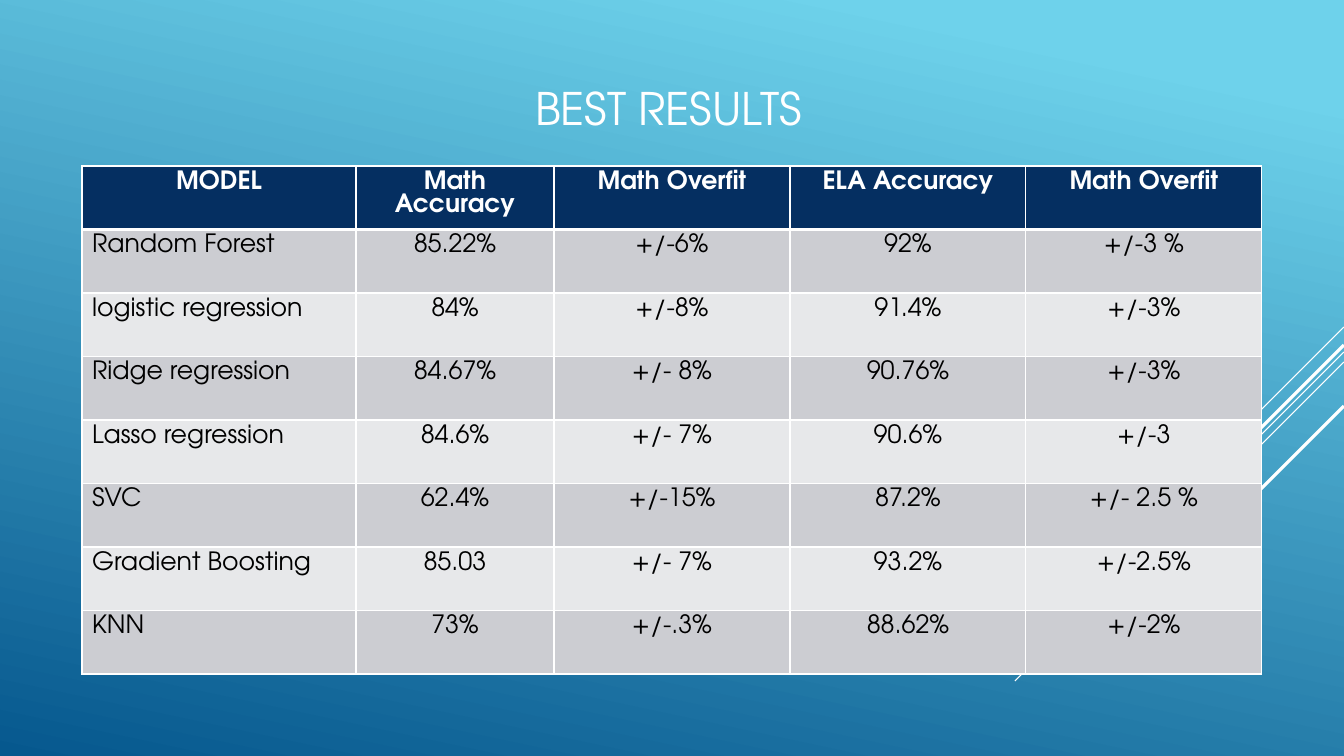
from dataclasses import dataclass

from lxml import etree
from pptx import Presentation
from pptx import util as u
from pptx.dml.color import RGBColor
from pptx.enum import shapes, text
from pptx.oxml import ns

SLIDE_WIDTH, SLIDE_HEIGHT = 1344, 756
EMU_PER_PX = 12192000 / SLIDE_WIDTH
FONT = "TeX Gyre Adventor"
COLORS = {
    "sky": "6ED2EB",
    "deep": "06588E",
    "white": "FFFFFF",
    "black": "000000",
    "header": "052F61",
    "odd": "CCCDD2",
    "even": "E7E8EA",
}

TABLE_LEFT, TABLE_TOP, TABLE_HEIGHT = 82, 166, 508
COLUMN_WIDTHS = [274, 198, 236, 236, 236]
RESULTS = [
    ["MODEL", "Math Accuracy", "Math Overfit", "ELA Accuracy", "Math Overfit"],
    ["Random Forest", "85.22%", "+/-6%", "92%", "+/-3 %"],
    ["logistic regression", "84%", "+/-8%", "91.4%", "+/-3%"],
    ["Ridge regression", "84.67%", "+/- 8%", "90.76%", "+/-3%"],
    ["Lasso regression", "84.6%", "+/- 7%", "90.6%", "+/-3"],
    ["SVC", "62.4%", "+/-15%", "87.2%", "+/- 2.5 %"],
    ["Gradient Boosting", "85.03", "+/- 7%", "93.2%", "+/-2.5%"],
    ["KNN", "73%", "+/-.3%", "88.62%", "+/-2%"],
]


@dataclass
class Ray:
    """A diagonal running down and left from the right edge of the slide."""
    top: int
    reach: int
    weight: float


RAYS = [
    Ray(327, 101, 0.75),
    Ray(352, 329, 0.75),
    Ray(362, 209, 0.75),
    Ray(345, 193, 2.25),
    Ray(406, 140, 2.25),
]


@dataclass
class CellStyle:
    fill: str
    color: str
    bold: bool
    align: text.PP_ALIGN
    top_border: float
    bottom_border: float


def px(length: int) -> u.Emu:
    return u.Emu(round(length * EMU_PER_PX))


def rgb(name: str) -> RGBColor:
    return RGBColor.from_string(COLORS[name])


def add_span(para, words: str, size: int, color: str, bold: bool = False) -> None:
    span = para.add_run()
    span.text = words
    span.font.name = FONT
    span.font.size = u.Pt(size)
    span.font.bold = bold
    span.font.color.rgb = rgb(color)


def paint_background(page) -> None:
    fill = page.background.fill
    fill.gradient()
    fill.gradient_angle = 258
    for stop, color, position in zip(fill.gradient_stops, ("sky", "deep"), (0.1, 1)):
        stop.color.rgb = rgb(color)
        stop.position = position


def draw_ray(page, ray: Ray) -> None:
    line = page.shapes.add_connector(
        shapes.MSO_CONNECTOR.STRAIGHT,
        px(SLIDE_WIDTH), px(ray.top),
        px(SLIDE_WIDTH - ray.reach), px(ray.top + ray.reach),
    )
    line.line.color.rgb = rgb("white")
    line.line.width = u.Pt(ray.weight)
    etree.SubElement(line._element.spPr, ns.qn("a:effectLst"))


def write_title(page) -> None:
    title = page.shapes.title
    title.left, title.top, title.width, title.height = px(525), px(70), px(292), px(76)
    frame = title.text_frame
    frame.word_wrap = True
    frame.auto_size = text.MSO_AUTO_SIZE.NONE
    frame.vertical_anchor = text.MSO_ANCHOR.MIDDLE
    para = frame.paragraphs[0]
    para.alignment = text.PP_ALIGN.LEFT
    add_span(para, "BEST RESULTS", 32, "white")


def set_borders(cell, style: CellStyle) -> None:
    """Put white border lines ahead of the fill, as the schema orders them."""
    properties = cell._tc.get_or_add_tcPr()
    weights = {"lnL": 1, "lnR": 1, "lnT": style.top_border, "lnB": style.bottom_border}
    for index, (side, weight) in enumerate(weights.items()):
        border = etree.Element(ns.qn(f"a:{side}"), w=str(u.Pt(weight)))
        paint = etree.SubElement(border, ns.qn("a:solidFill"))
        etree.SubElement(paint, ns.qn("a:srgbClr"), val=COLORS["white"])
        properties.insert(index, border)


def style_for(row: int, column: int) -> CellStyle:
    header = row == 0
    if header:
        fill = "header"
    else:
        fill = "odd" if row % 2 else "even"
    centred = header or column > 0
    return CellStyle(
        fill=fill,
        color="white" if header else "black",
        bold=header,
        align=text.PP_ALIGN.CENTER if centred else text.PP_ALIGN.LEFT,
        top_border=3 if row == 1 else 1,
        bottom_border=3 if header else 1,
    )


def fill_cell(cell, words: str, style: CellStyle) -> None:
    cell.fill.solid()
    cell.fill.fore_color.rgb = rgb(style.fill)
    set_borders(cell, style)
    para = cell.text_frame.paragraphs[0]
    para.alignment = style.align
    para.line_spacing = u.Pt(16.5)
    add_span(para, words, 18, style.color, style.bold)


def add_results_table(page) -> None:
    table = page.shapes.add_table(
        len(RESULTS), len(COLUMN_WIDTHS),
        px(TABLE_LEFT), px(TABLE_TOP), px(sum(COLUMN_WIDTHS)), px(TABLE_HEIGHT),
    ).table
    for column, width in zip(table.columns, COLUMN_WIDTHS):
        column.width = px(width)
    for row, entries in enumerate(RESULTS):
        for column, words in enumerate(entries):
            fill_cell(table.cell(row, column), words, style_for(row, column))


def main() -> None:
    deck = Presentation()
    deck.slide_width, deck.slide_height = px(SLIDE_WIDTH), px(SLIDE_HEIGHT)
    page = deck.slides.add_slide(deck.slide_layouts.get_by_name("Title Only"))
    paint_background(page)
    for ray in RAYS:
        draw_ray(page, ray)
    write_title(page)
    add_results_table(page)
    deck.save("out.pptx")


if __name__ == "__main__":
    main()
